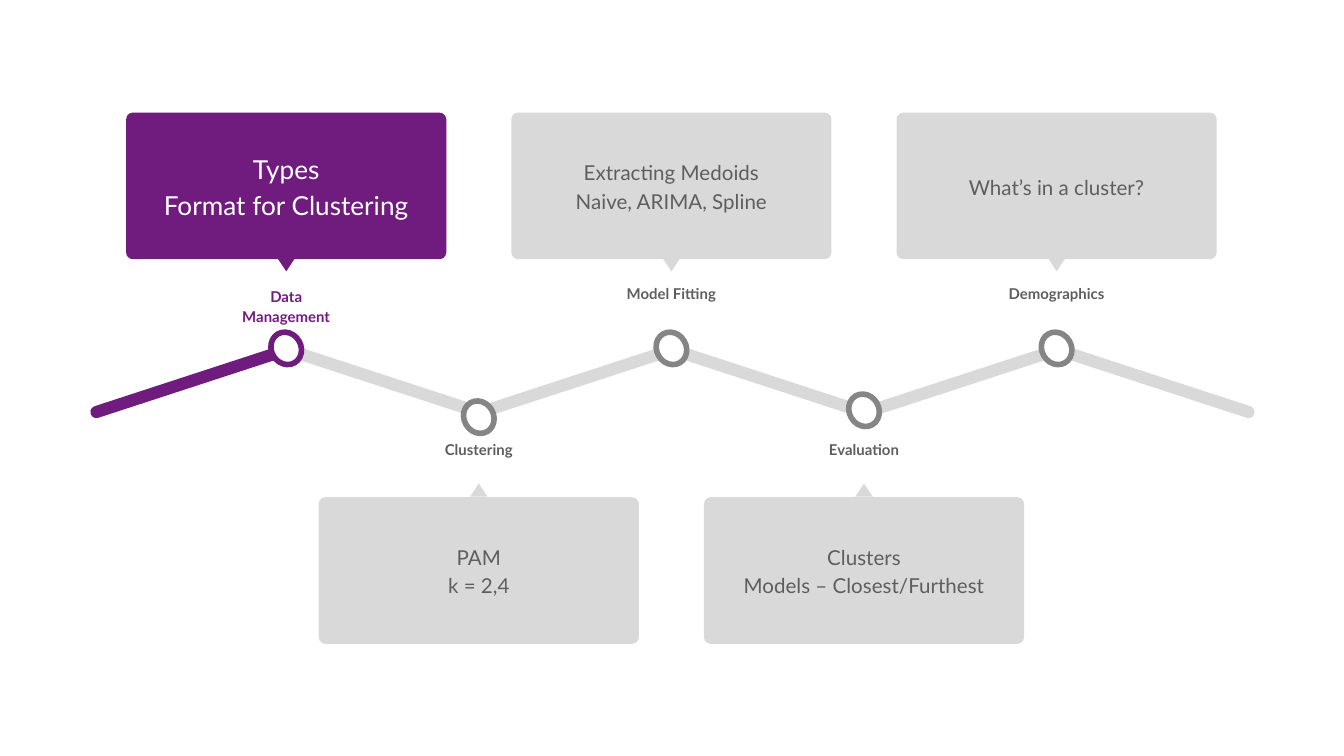
import dataclasses
import pptx
import pptx.util
import pptx.dml.color
import pptx.enum.shapes
import pptx.enum.text

Cm = pptx.util.Cm
Pt = pptx.util.Pt
Kind = pptx.enum.shapes.MSO_SHAPE
Anchor = pptx.enum.text.MSO_ANCHOR


def tint(code):
    return pptx.dml.color.RGBColor.from_string(code)


@dataclasses.dataclass
class Theme:
    font: str = "Lato"
    main: str = "701C7F"
    pale: str = "D9D9D9"
    ring: str = "858585"
    ink: str = "5E5E5E"
    white: str = "FFFFFF"
    small: int = 8
    body: int = 11
    large: int = 14


class Deck:
    def __init__(self, theme):
        self.theme = theme
        self.file = pptx.Presentation()
        self.file.slide_width = Cm(25.4)
        self.file.slide_height = Cm(14.29)
        self.slide = self.file.slides.add_slide(self.file.slide_layouts[6])

    def shape(self, kind, mid, top, wide, high, fill, turn=0):
        item = self.slide.shapes.add_shape(
            kind, Cm(mid - wide / 2), Cm(top), Cm(wide), Cm(high))
        item.shadow.inherit = False
        item.fill.solid()
        item.fill.fore_color.rgb = tint(fill)
        item.line.fill.background()
        item.rotation = turn
        return item

    def bar(self, mid, turn, fill):
        item = self.shape(Kind.ROUNDED_RECTANGLE, mid, 7.09, 3.99, 0.23, fill, turn)
        item.adjustments[0] = 0.5

    def dot(self, mid, top, color):
        item = self.shape(Kind.OVAL, mid, top, 0.56, 0.63, self.theme.white, 330)
        item.line.color.rgb = tint(color)
        item.line.width = Pt(3)

    def card(self, mid, top, fill):
        item = self.shape(Kind.ROUNDED_RECTANGLE, mid, top, 6.05, 2.77, fill)
        item.adjustments[0] = 0.045

    def tip(self, mid, top, fill, turn):
        self.shape(Kind.ISOSCELES_TRIANGLE, mid, top, 0.33, 0.25, fill, turn)

    def text(self, mid, top, wide, high, lines, size, color,
             bold=False, anchor=Anchor.MIDDLE, after=0):
        box = self.slide.shapes.add_textbox(
            Cm(mid - wide / 2), Cm(top), Cm(wide), Cm(high))
        frame = box.text_frame
        frame.word_wrap = True
        frame.vertical_anchor = anchor
        frame.margin_left = frame.margin_right = Cm(0.25)
        frame.margin_top = frame.margin_bottom = Cm(0.25)
        frame.text = "\n".join(lines)
        for para in frame.paragraphs:
            para.alignment = pptx.enum.text.PP_ALIGN.CENTER
            para.line_spacing = 1.15
            para.space_after = Pt(after)
            para.font.name = self.theme.font
            para.font.size = Pt(size)
            para.font.bold = bold
            para.font.color.rgb = tint(color)

    def step(self, mid, name, lines, spot, above, active):
        theme = self.theme
        fill = theme.main if active else theme.pale
        card, tip, label = (2.13, 4.88, 5.13) if above else (9.4, 9.14, 8.08)
        self.card(mid, card, fill)
        self.tip(mid, tip, fill, 180 if above else 0)
        self.text(mid, card + 0.14, 5.74, 2.46, lines,
                  theme.large if active else theme.body,
                  theme.white if active else theme.ink)
        self.text(mid, label, 2.46, 1.09, [name], theme.small,
                  theme.main if active else theme.ink,
                  bold=True, anchor=Anchor.TOP, after=16)
        self.dot(mid, spot, theme.main if active else theme.ring)


STEPS = [
    ("Data Management", ["Types", "Format for Clustering"], 6.27),
    ("Clustering", ["PAM", "k = 2,4"], 7.57),
    ("Model Fitting", ["Extracting Medoids", "Naive, ARIMA, Spline"], 6.27),
    ("Evaluation", ["Clusters", "Models – Closest/Furthest"], 7.44),
    ("Demographics", ["What’s in a cluster?"], 6.27),
]
GAP = 3.64


def main():
    theme = Theme()
    deck = Deck(theme)
    for i in reversed(range(len(STEPS) + 1)):
        deck.bar(3.61 + i * GAP, 18.1 if i % 2 else 341.9,
                 theme.pale if i else theme.main)
    for i, (name, lines, spot) in enumerate(STEPS):
        deck.step(5.41 + i * GAP, name, lines, spot, i % 2 == 0, i == 0)
    deck.file.save("out.pptx")


if __name__ == "__main__":
    main()
